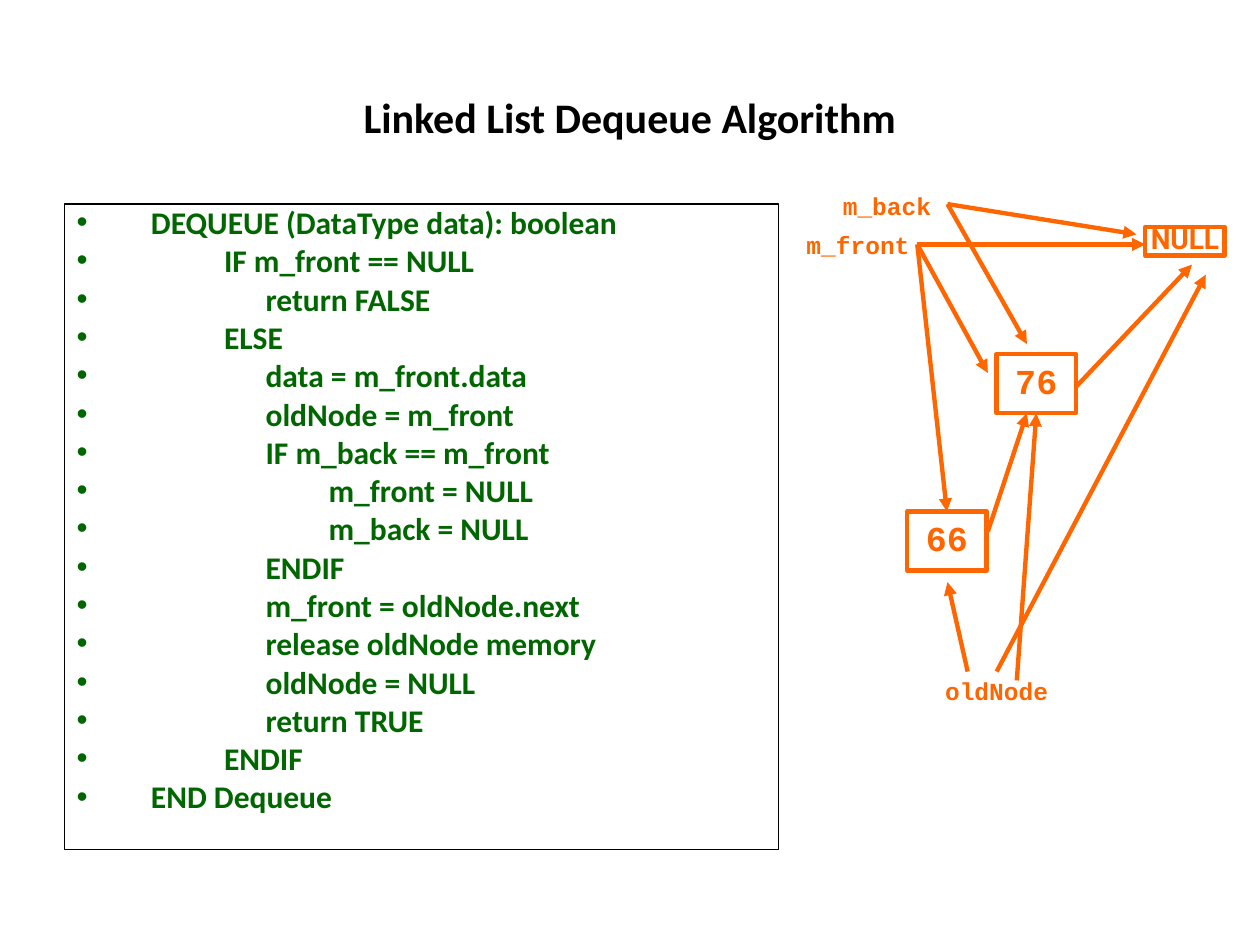
"""Build a slide showing the linked list dequeue algorithm beside its node diagram."""
import lxml.etree
import pptx
import pptx.dml.color
import pptx.enum.shapes
import pptx.enum.text
import pptx.oxml.ns
import pptx.util

Inches = pptx.util.Inches
Pt = pptx.util.Pt
qn = pptx.oxml.ns.qn
ORANGE, GREEN, BLACK, WHITE = "FF6600", "006600", "000000", "FFFFFF"


def color(value):
    return pptx.dml.color.RGBColor.from_string(value)


def add_box(left, top, width, height, lines, font, size, text_color,
            fill=None, outline=None, weight=2.5, margin=0.0, spacing=0.85,
            anchor="MIDDLE", align="CENTER"):
    shape = slide.shapes.add_shape(
        pptx.enum.shapes.MSO_SHAPE.RECTANGLE,
        Inches(left), Inches(top), Inches(width), Inches(height))
    shape.shadow.inherit = False
    if fill:
        shape.fill.solid()
        shape.fill.fore_color.rgb = color(fill)
    else:
        shape.fill.background()
    if outline:
        shape.line.color.rgb = color(outline)
        shape.line.width = Pt(weight)
    else:
        shape.line.fill.background()
    frame = shape.text_frame
    frame.word_wrap = True
    frame.margin_left = frame.margin_right = Inches(margin)
    frame.margin_top = frame.margin_bottom = Inches(margin / 2)
    frame.vertical_anchor = pptx.enum.text.MSO_ANCHOR[anchor]
    frame.text = "\n".join(lines)
    for paragraph in frame.paragraphs:
        paragraph.alignment = pptx.enum.text.PP_ALIGN[align]
        paragraph.line_spacing = spacing
        for run in paragraph.runs:
            run.font.name = font
            run.font.size = Pt(size)
            run.font.bold = True
            run.font.color.rgb = color(text_color)
    return shape


presentation = pptx.Presentation()
presentation.slide_width = Inches(10)
presentation.slide_height = Inches(7.5)
slide = presentation.slides.add_slide(presentation.slide_layouts[6])

title = slide.shapes.add_textbox(Inches(0.5), Inches(0.3), Inches(9), Inches(1.25))
title.text_frame.word_wrap = True
title.text_frame.vertical_anchor = pptx.enum.text.MSO_ANCHOR.MIDDLE
title.text_frame.text = "Linked List Dequeue Algorithm"
title_paragraph = title.text_frame.paragraphs[0]
title_paragraph.alignment = pptx.enum.text.PP_ALIGN.CENTER
title_font = title_paragraph.runs[0].font
title_font.name = "Calibri"
title_font.size = Pt(24)
title_font.bold = True
title_font.color.rgb = color(BLACK)

algorithm = [
    (0, "DEQUEUE (DataType data): boolean"),
    (1, "IF m_front == NULL"),
    (2, "return FALSE"),
    (1, "ELSE"),
    (2, "data = m_front.data"),
    (2, "oldNode = m_front"),
    (2, "IF m_back == m_front"),
    (3, "m_front = NULL"),
    (3, "m_back = NULL"),
    (2, "ENDIF"),
    (2, "m_front = oldNode.next"),
    (2, "release oldNode memory"),
    (2, "oldNode = NULL"),
    (2, "return TRUE"),
    (1, "ENDIF"),
    (0, "END Dequeue"),
]
code_box = add_box(
    0.51, 1.62, 5.67, 5.12, ["\t" * depth + text for depth, text in algorithm],
    "Calibri", 18, GREEN, outline=BLACK, weight=0.75, margin=0.1,
    spacing=0.8, anchor="TOP", align="LEFT")
for index, paragraph in enumerate(code_box.text_frame.paragraphs):
    paragraph.space_before = Pt(4.6 if index else 0)
    properties = paragraph._p.get_or_add_pPr()
    properties.set("marL", str(Inches(0.59)))
    properties.set("indent", str(Inches(-0.59)))
    bullet_color = lxml.etree.SubElement(properties, qn("a:buClr"))
    lxml.etree.SubElement(bullet_color, qn("a:srgbClr"), val=GREEN)
    lxml.etree.SubElement(properties, qn("a:buFont"), typeface="Arial")
    lxml.etree.SubElement(properties, qn("a:buChar"), char="•")
    tabs = lxml.etree.SubElement(properties, qn("a:tabLst"))
    for position in (1.17, 1.5, 2):
        lxml.etree.SubElement(tabs, qn("a:tab"), pos=str(Inches(position)), algn="l")

for name, left, top in [("m_front", 6.34, 1.86), ("m_back", 6.57, 1.55),
                        ("oldNode", 7.44, 5.4)]:
    add_box(left, top, 0.94, 0.2, [name], "Courier New", 14, ORANGE,
            fill=WHITE, anchor="TOP")

add_box(9.09, 1.8, 0.63, 0.23, ["NULL"], "Roboto", 16, ORANGE, outline=ORANGE)
node_66, node_76 = [
    add_box(left, top, 0.63, 0.47, [value], "Courier New", 20, ORANGE,
            fill=WHITE, outline=ORANGE)
    for value, left, top in [("66", 7.2, 4.06), ("76", 7.91, 2.81)]]

front, back = (7.28, 1.94), (7.52, 1.62)
arrows = [
    (front, (9.09, 1.94), None, None),
    (front, (7.52, 4.06), node_66, 0),
    (front, (7.84, 2.96), None, None),
    (back, (9.02, 1.86), None, None),
    (back, (8.15, 2.73), None, None),
    ((7.84, 4.22), (8.15, 3.28), None, None),
    ((8.54, 3.07), (9.46, 2.1), None, None),
    ((7.68, 5.33), (7.52, 4.62), None, None),
    ((7.91, 5.33), (9.57, 2.18), None, None),
    ((8.07, 5.4), (8.23, 3.28), node_76, 2),
]
for start, end, target, side in arrows:
    connector = slide.shapes.add_connector(
        pptx.enum.shapes.MSO_CONNECTOR.STRAIGHT,
        *[Inches(value) for value in start + end])
    if target is not None:
        connector.end_connect(target, side)
    connector.line.color.rgb = color(ORANGE)
    connector.line.width = Pt(2.5)
    lxml.etree.SubElement(connector.line._get_or_add_ln(), qn("a:tailEnd"), type="triangle")
    lxml.etree.SubElement(connector._element.spPr, qn("a:effectLst"))

presentation.save("out.pptx")
